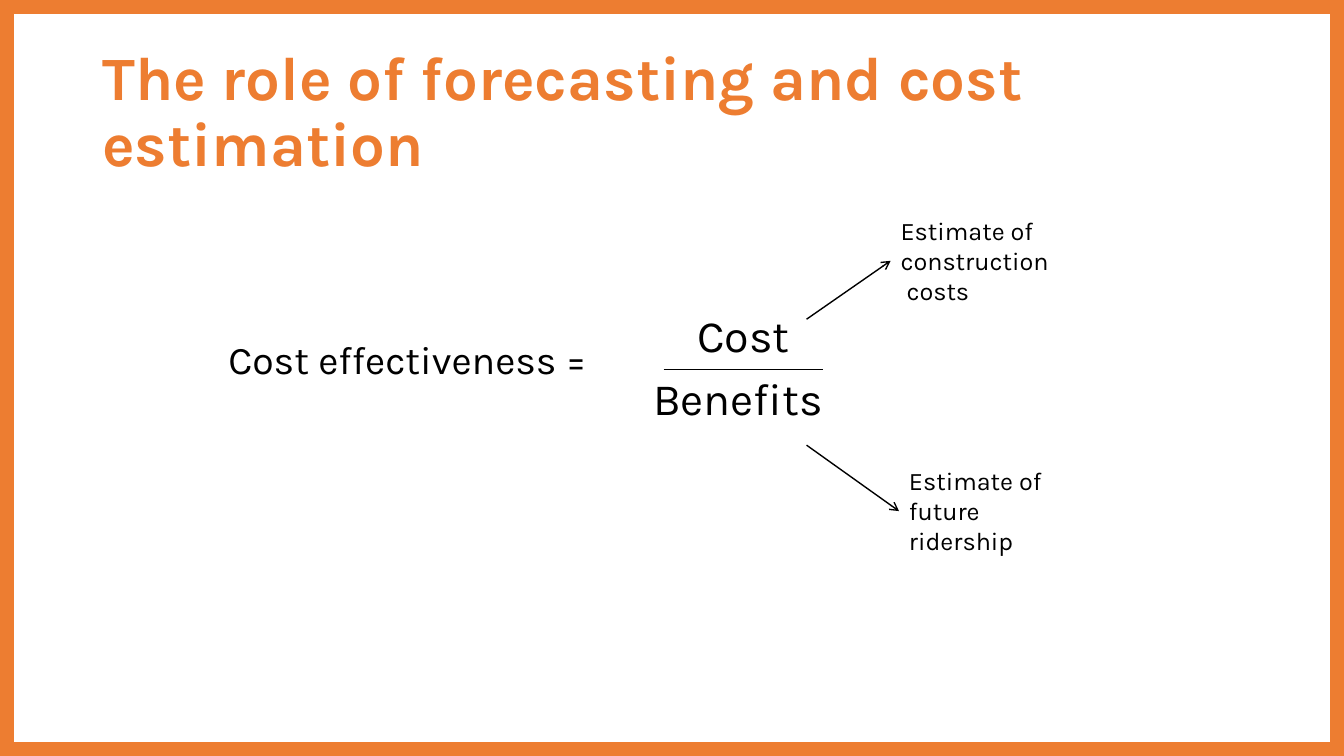
"""Build a slide that shows cost effectiveness as a ratio of two estimates."""
from pptx import Presentation
from pptx import util as u
from pptx.dml.color import RGBColor
from pptx.enum import shapes, text
from pptx.oxml.ns import qn
from lxml import etree

THEME = {
    "font": "Karla",
    "accent": RGBColor(0xED, 0x7D, 0x31),
    "ink": RGBColor(0, 0, 0),
    "title": 44, "ratio": 32, "body": 28, "label": 18,
    "frame": 20, "rule": 1,
}
LEFT, CENTER = text.PP_ALIGN.LEFT, text.PP_ALIGN.CENTER
TOP, MIDDLE = text.MSO_ANCHOR.TOP, text.MSO_ANCHOR.MIDDLE

prs = Presentation()
prs.slide_width, prs.slide_height = u.Inches(13.33), u.Inches(7.5)
s = prs.slides.add_slide(prs.slide_layouts[6])
UNIT = prs.slide_height / 90


def add_text(box, lines, size, color="ink", align=LEFT, anchor=TOP, spacing=None, before=0):
    sp = s.shapes.add_textbox(*[round(n * UNIT) for n in box])
    tf = sp.text_frame
    tf.text = lines
    tf.word_wrap = True
    tf.vertical_anchor = anchor
    for p in tf.paragraphs:
        p.alignment = align
        p.line_spacing = spacing
        p.space_before = u.Pt(before)
        for r in p.runs:
            r.font.name = THEME["font"]
            r.font.size = u.Pt(THEME[size])
            r.font.bold = size == "title"
            r.font.color.rgb = THEME[color]
    return sp


def add_line(start, end, arrow=False):
    c = s.shapes.add_connector(shapes.MSO_CONNECTOR.STRAIGHT, *[round(n * UNIT) for n in start + end])
    c.line.color.rgb = THEME["ink"]
    c.line.width = u.Pt(THEME["rule"])
    if arrow:
        etree.SubElement(c.line._get_or_add_ln(), qn("a:tailEnd"), type="arrow")
    etree.SubElement(c._element.spPr, qn("a:effectLst"))
    return c


frame = s.shapes.add_shape(shapes.MSO_SHAPE.RECTANGLE, 0, 0, prs.slide_width, prs.slide_height)
frame.shadow.inherit = False
frame.fill.background()
frame.line.color.rgb = THEME["accent"]
frame.line.width = u.Pt(THEME["frame"])

add_text((11, 4.8, 138, 17.4), "The role of forecasting and cost estimation", "title",
         color="accent", anchor=MIDDLE, spacing=0.9)
add_text((26, 40, 54, 14), "Cost effectiveness =", "body", spacing=0.9, before=10)
add_text((74, 36, 29, 14), "Cost\nBenefits ", "ratio", align=CENTER, before=7)
add_line((79, 44), (98, 44))

estimates = [
    ("Estimate of construction\v costs", 106, 25, 38),
    ("Estimate of future ridership", 107, 54.8, 53),
]
for label, left, top, arrow_top in estimates:
    sp = add_text((left, top, 20, 12.1), label, "label")
    sp.text_frame.auto_size = text.MSO_AUTO_SIZE.SHAPE_TO_FIT_TEXT
    arrow = add_line((96, arrow_top), (left, top + 6.05), arrow=True)
    arrow.end_connect(sp, 1)

prs.save("out.pptx")
